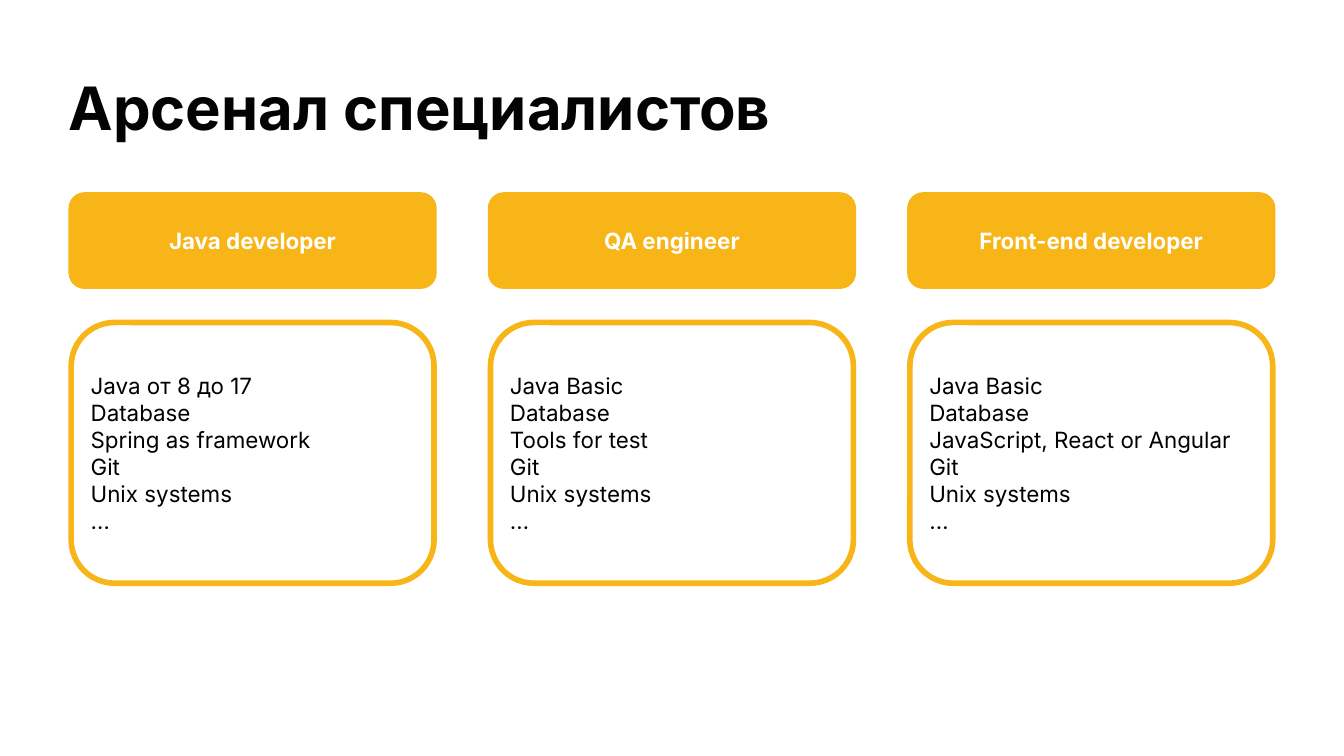
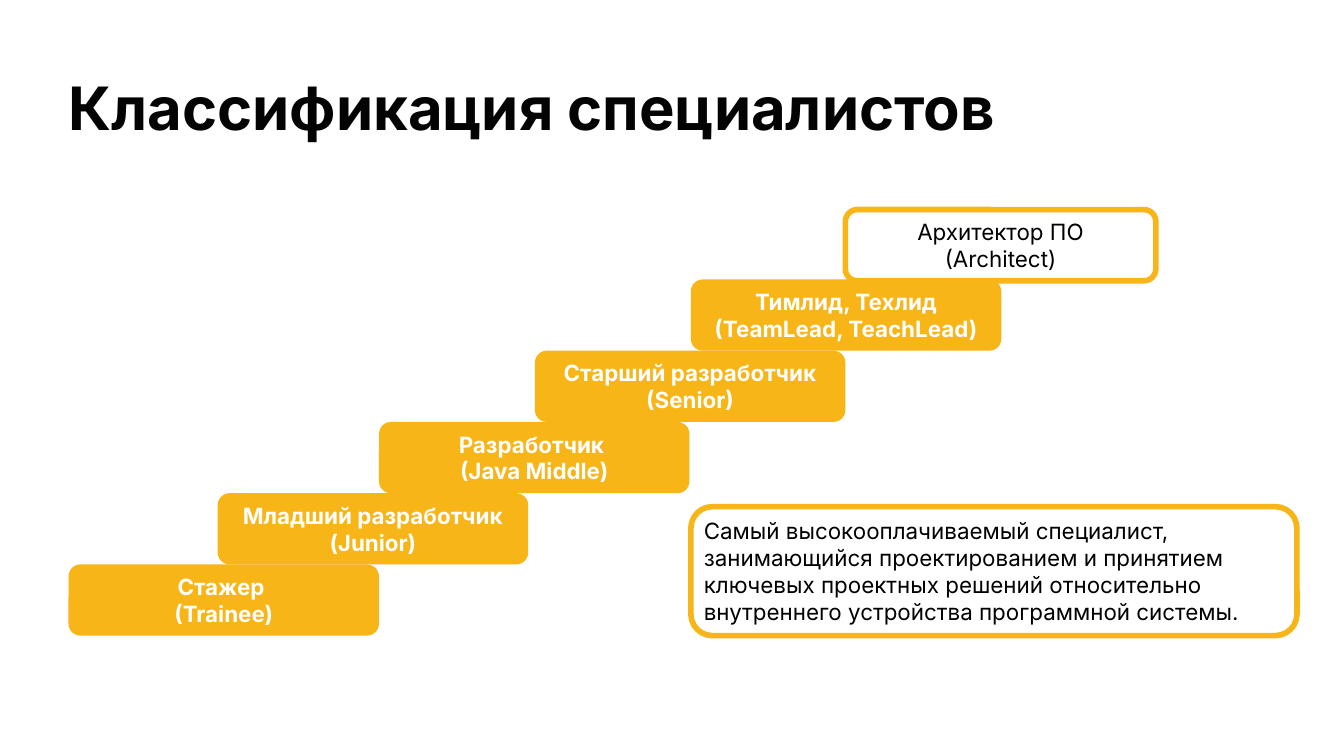
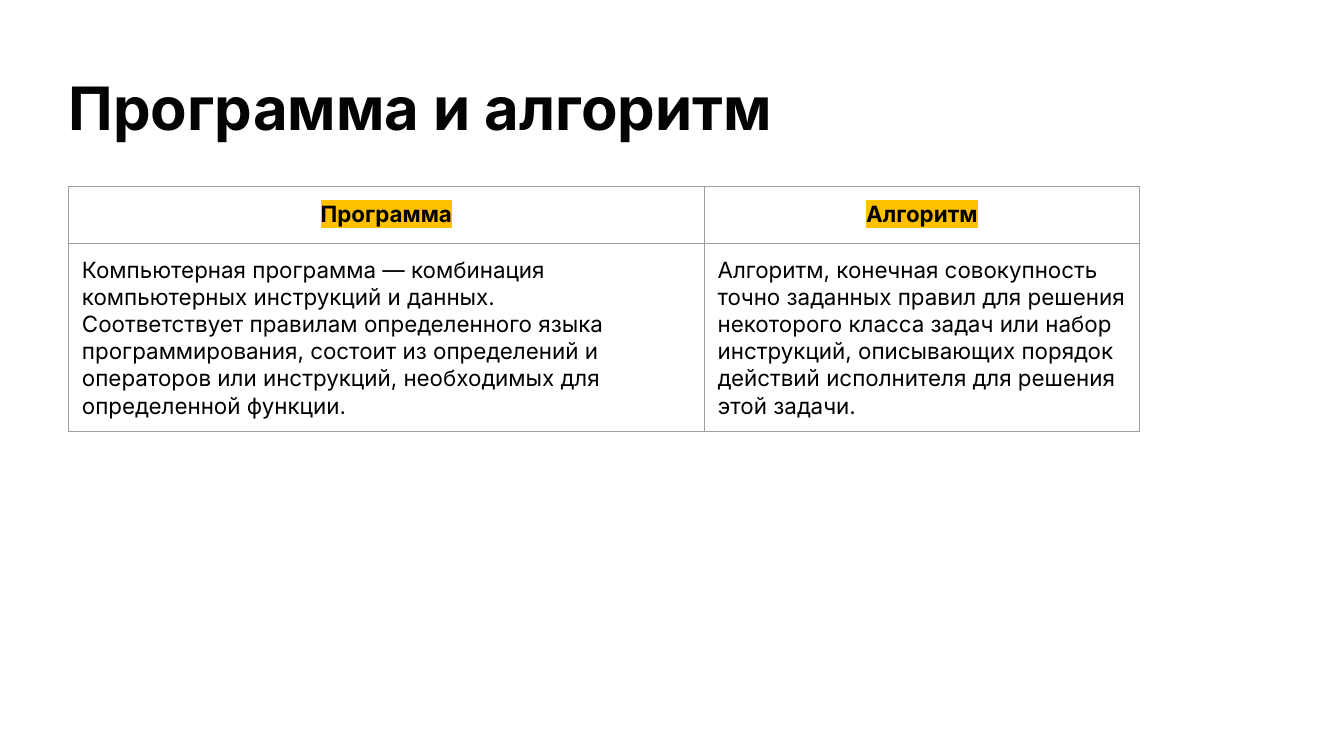
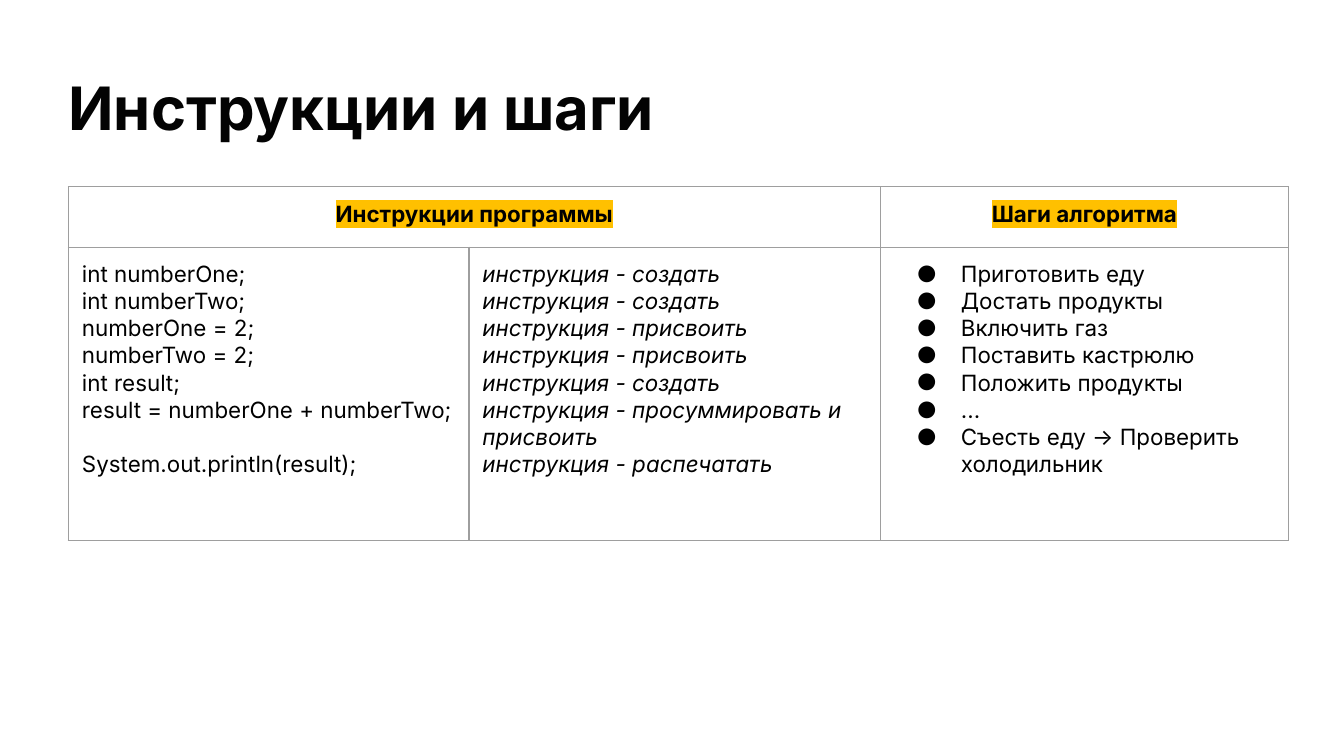
"""Build four slides about developer roles, programs and algorithms."""
from pptx import Presentation
from pptx.dml.color import RGBColor
from pptx.enum.shapes import MSO_SHAPE as Shape
from pptx.enum.text import MSO_ANCHOR as Anchor, PP_ALIGN as Align
from pptx.oxml.ns import qn
from pptx.util import Inches, Pt
from lxml.etree import SubElement

paint = RGBColor.from_string
FONT = "Inter"
BLACK, TITLE_BLACK, WHITE = "000000", "030303", "FFFFFF"
AMBER, HIGHLIGHT, GRID = "F7B518", "FFC000", "9E9E9E"
LEFT = 0.51


def write(frame, lines, color=BLACK, size=12, bold=False, italic=False, align=Align.LEFT):
    frame.word_wrap = True
    frame.text = "\n".join(lines)
    for para in frame.paragraphs:
        para.alignment = align
        for span in para.runs:
            span.font.name = FONT
            span.font.size = Pt(size)
            span.font.bold = bold
            span.font.italic = italic
            span.font.color.rgb = paint(color)


def add_card(page, left, top, width, height, lines, filled, align):
    card = page.shapes.add_shape(Shape.ROUNDED_RECTANGLE, Inches(left), Inches(top),
                                 Inches(width), Inches(height))
    card.shadow.inherit = False
    card.adjustments[0] = 0.167
    if filled:
        card.fill.solid()
        card.fill.fore_color.rgb = paint(AMBER)
        card.line.fill.background()
    else:
        card.fill.background()
        card.line.color.rgb = paint(AMBER)
        card.line.width = Pt(3)
    frame = card.text_frame
    frame.margin_left = frame.margin_right = Inches(0.05)
    frame.margin_top = frame.margin_bottom = Inches(0.02)
    frame.vertical_anchor = Anchor.MIDDLE
    write(frame, lines, WHITE if filled else BLACK, bold=filled, align=align)


deck = Presentation()
deck.slide_width = Inches(10)
deck.slide_height = Inches(10 * 9 / 16)

titles = [
    ("Арсенал специалистов", 7.62),
    ("Классификация специалистов", 8.61),
    ("Программа и алгоритм", 7.56),
    ("Инструкции и шаги", 7.56),
]
pages = []
for title, width in titles:
    page = deck.slides.add_slide(deck.slide_layouts[6])
    page.background.fill.solid()
    page.background.fill.fore_color.rgb = paint(WHITE)
    box = page.shapes.add_textbox(Inches(LEFT), Inches(0.53), Inches(width), Inches(0.6))
    frame = box.text_frame
    frame.margin_left = frame.margin_right = frame.margin_top = frame.margin_bottom = 0
    write(frame, [title], TITLE_BLACK, size=32, bold=True)
    pages.append(page)
skills_page, ladder_page, definitions_page, steps_page = pages

skills = [
    ("Java developer", "Java от 8 до 17", "Spring as framework"),
    ("QA engineer", "Java Basic", "Tools for test"),
    ("Front-end developer", "Java Basic", "JavaScript, React or Angular"),
]
for column, (role, language, tools) in enumerate(skills):
    left = LEFT + 3.12 * column
    add_card(skills_page, left, 1.43, 2.74, 0.72, [role], True, Align.CENTER)
    add_card(skills_page, left + 0.02, 2.4, 2.7, 1.94,
             [language, "Database", tools, "Git", "Unix systems", "…"], False, Align.LEFT)

ladder = [
    (0.51, ["Стажер ", "(Trainee)"]),
    (1.62, ["Младший разработчик (Junior)"]),
    (2.82, ["Разработчик ", "(Java Middle)"]),
    (3.98, ["Старший разработчик", "(Senior)"]),
    (5.14, ["Тимлид, Техлид", "(TeamLead, TeachLead)"]),
]
for step, (left, lines) in enumerate(ladder):
    add_card(ladder_page, left, 4.2 - 0.53 * step, 2.31, 0.53, lines, True, Align.CENTER)
add_card(ladder_page, 5.14, 3.77, 4.51, 0.96, [
    "Самый высокооплачиваемый специалист, занимающийся проектированием и принятием "
    "ключевых проектных решений относительно внутреннего устройства программной системы.",
], False, Align.LEFT)
add_card(ladder_page, 6.29, 1.56, 2.31, 0.53, ["Архитектор ПО", "(Architect)"],
         False, Align.CENTER)

definitions = [
    [("heading", ["Программа"]), ("heading", ["Алгоритм"])],
    [("body", [
        "Компьютерная программа — комбинация компьютерных инструкций и данных.",
        "Соответствует правилам определенного языка программирования, состоит из "
        "определений и операторов или инструкций, необходимых для определенной функции.",
    ]), ("body", [
        "Алгоритм, конечная совокупность точно заданных правил для решения некоторого "
        "класса задач или набор инструкций, описывающих порядок действий исполнителя "
        "для решения этой задачи.",
    ])],
]
steps = [
    [("heading", ["Инструкции программы"]), ("heading", ["Шаги алгоритма"])],
    [("body", []), ("bullets", [
        "Приготовить еду", "Достать продукты", "Включить газ", "Поставить кастрюлю",
        "Положить продукты", "...", "Съесть еду -> Проверить холодильник",
    ])],
]
code = [
    [("code", [
        "int numberOne;", "int numberTwo;", "numberOne = 2;", "numberTwo = 2;",
        "int result;", "result = numberOne + numberTwo;", "System.out.println(result);",
    ]), ("italic", [
        "инструкция - создать", "инструкция - создать", "инструкция - присвоить",
        "инструкция - присвоить", "инструкция - создать",
        "инструкция - просуммировать и присвоить", "инcтрукция - распечатать",
    ])],
]
tables = [
    (definitions_page, 1.39, [4.73, 3.24], [0.42, 1.4], definitions),
    (steps_page, 1.39, [6.04, 3.04], [0.45, 2.18], steps),
    (steps_page, 1.84, [2.98, 3.06], [2.18], code),
]
for page, top, widths, heights, rows in tables:
    table = page.shapes.add_table(len(heights), len(widths), Inches(LEFT), Inches(top),
                                  Inches(sum(widths)), Inches(sum(heights))).table
    table.first_row = table.horz_banding = False
    for column, width in zip(table.columns, widths):
        column.width = Inches(width)
    for row, height, contents in zip(table.rows, heights, rows):
        row.height = Inches(height)
        for cell, (style, lines) in zip(row.cells, contents):
            heading = style == "heading"
            cell.margin_left = cell.margin_right = Inches(0.1)
            cell.margin_top = cell.margin_bottom = Inches(0.1)
            write(cell.text_frame, lines, bold=heading, italic=style == "italic",
                  align=Align.CENTER if heading else Align.LEFT)
            properties = cell._tc.get_or_add_tcPr()
            for side in ("a:lnL", "a:lnR", "a:lnT", "a:lnB"):
                border = SubElement(properties, qn(side), w=str(Pt(0.75)))
                SubElement(SubElement(border, qn("a:solidFill")), qn("a:srgbClr"), val=GRID)
            cell.fill.background()
            for para in cell.text_frame.paragraphs:
                if heading:
                    marks = para.runs[0].font._element
                    highlight = SubElement(marks, qn("a:highlight"))
                    SubElement(highlight, qn("a:srgbClr"), val=HIGHLIGHT)
                    marks.find(qn("a:solidFill")).addnext(highlight)
                if style == "bullets":
                    layout = para._p.get_or_add_pPr()
                    layout.set("marL", str(Inches(0.5)))
                    layout.set("indent", str(Inches(-0.33)))
                    SubElement(SubElement(layout, qn("a:buClr")), qn("a:srgbClr"), val=BLACK)
                    SubElement(layout, qn("a:buSzPts"), val="1200")
                    SubElement(layout, qn("a:buFont"), typeface=FONT)
                    SubElement(layout, qn("a:buChar"), char="●")
            if style == "code":
                cell.text_frame.paragraphs[-1].space_before = Pt(14.5)

deck.save("out.pptx")
